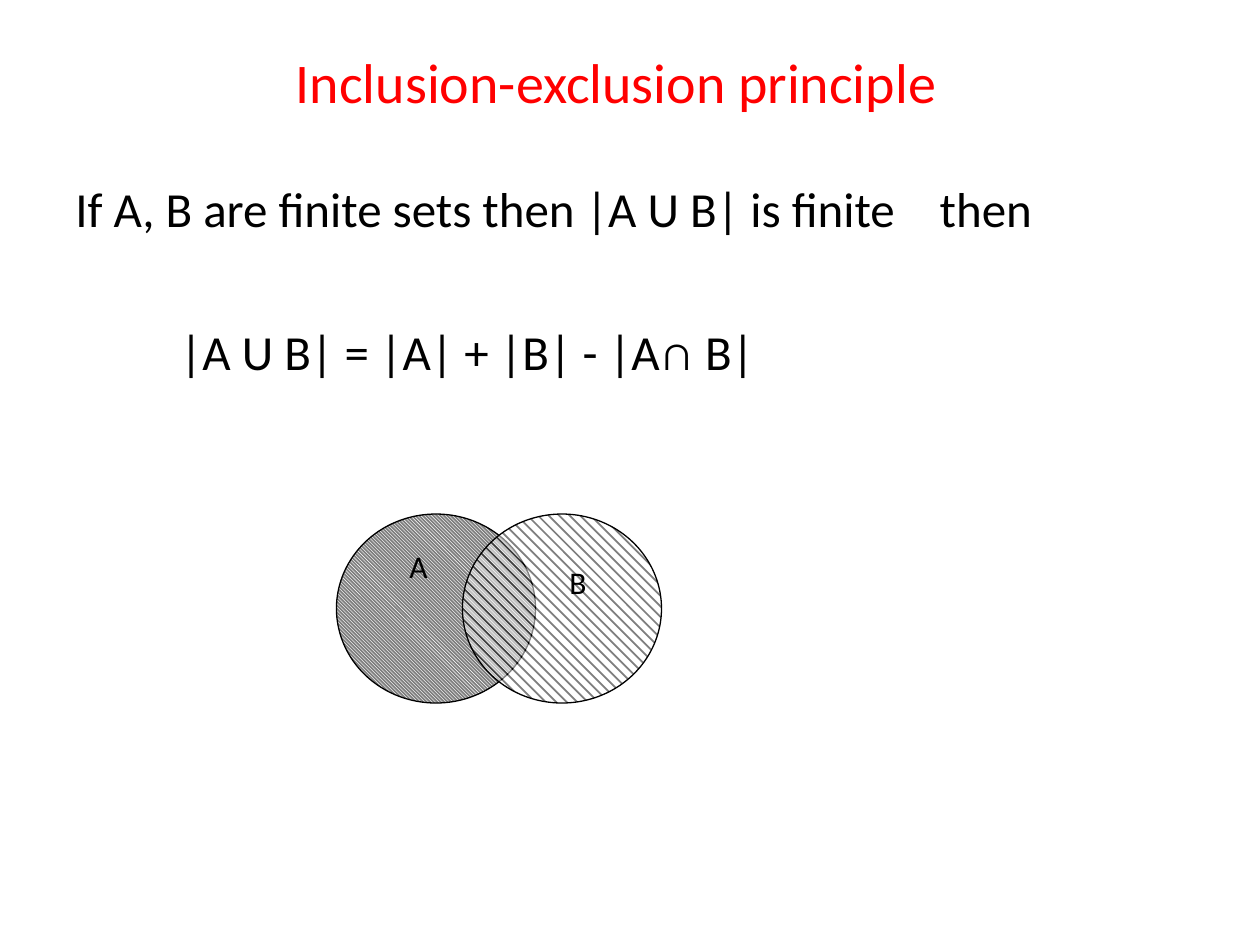
from lxml.etree import SubElement
from pptx import Presentation
from pptx.dml.color import RGBColor
from pptx.enum.dml import MSO_PATTERN
from pptx.enum.shapes import MSO_SHAPE
from pptx.oxml.ns import qn
from pptx.util import Inches, Pt

BLACK = RGBColor(0, 0, 0)
WHITE = RGBColor(255, 255, 255)
RED = RGBColor(255, 0, 0)
FONT = "Calibri"


def add_text(page, text, left, top, width, height, size, color=BLACK, wrap=True):
    box = page.shapes.add_textbox(
        Inches(left), Inches(top), Inches(width), Inches(height))
    box.text_frame.word_wrap = wrap
    para = box.text_frame.paragraphs[0]
    span = para.add_run()
    span.text = text
    span.font.name = FONT
    span.font.size = Pt(size)
    span.font.color.rgb = color
    return para


def add_tab_stop(para, position):
    stops = SubElement(para._p.get_or_add_pPr(), qn("a:tabLst"))
    SubElement(stops, qn("a:tab"), pos=str(Inches(position)), algn="l")


def add_set(page, left, top, width, height, pattern):
    circle = page.shapes.add_shape(
        MSO_SHAPE.OVAL, Inches(left), Inches(top), Inches(width), Inches(height))
    circle.shadow.inherit = False
    circle.line.color.rgb = BLACK
    circle.line.width = Pt(0.75)
    fill = circle.fill
    fill.patterned()
    fill.pattern = pattern
    fill.fore_color.rgb = BLACK
    fill.back_color.rgb = WHITE
    # Half transparent, so the overlap shows both sets
    for color in circle._element.spPr.find(qn("a:pattFill")).iter(qn("a:srgbClr")):
        SubElement(color, qn("a:alpha"), val="50000")


def add_statement(page, left, top):
    para = add_text(page, "If A, B are finite sets then |A U B| is finite\tthen",
                    left, top, 7.88, 0.57, 28)
    add_tab_stop(para, 6.86)
    add_text(page, "|A U B| = |A| + |B| - |A∩ B|",
             left + 0.83, top + 1.13, 5, 0.57, 28, wrap=False)


def add_venn_diagram(page, left, top):
    # Two overlapping sets, one inch apart
    patterns = (MSO_PATTERN.LIGHT_DOWNWARD_DIAGONAL,
                MSO_PATTERN.DASHED_DOWNWARD_DIAGONAL)
    for index, pattern in enumerate(patterns):
        add_set(page, left + index, top, 1.58, 1.5, pattern)
    # Set names
    for name, dx, dy, width in (("A", 0.48, 0.21, 0.37), ("B", 1.75, 0.34, 0.34)):
        add_text(page, name, left + dx, top + dy, width, 0.4, 18, wrap=False)


def main():
    deck = Presentation()
    deck.slide_width, deck.slide_height = Inches(10), Inches(7.5)
    page = deck.slides.add_slide(deck.slide_layouts[6])
    add_text(page, "Inclusion-exclusion principle", 2.25, 0.33, 6.08, 0.64, 32, RED)
    add_statement(page, 0.5, 1.37)
    add_venn_diagram(page, 2.67, 4.08)
    deck.save("out.pptx")


if __name__ == "__main__":
    main()
